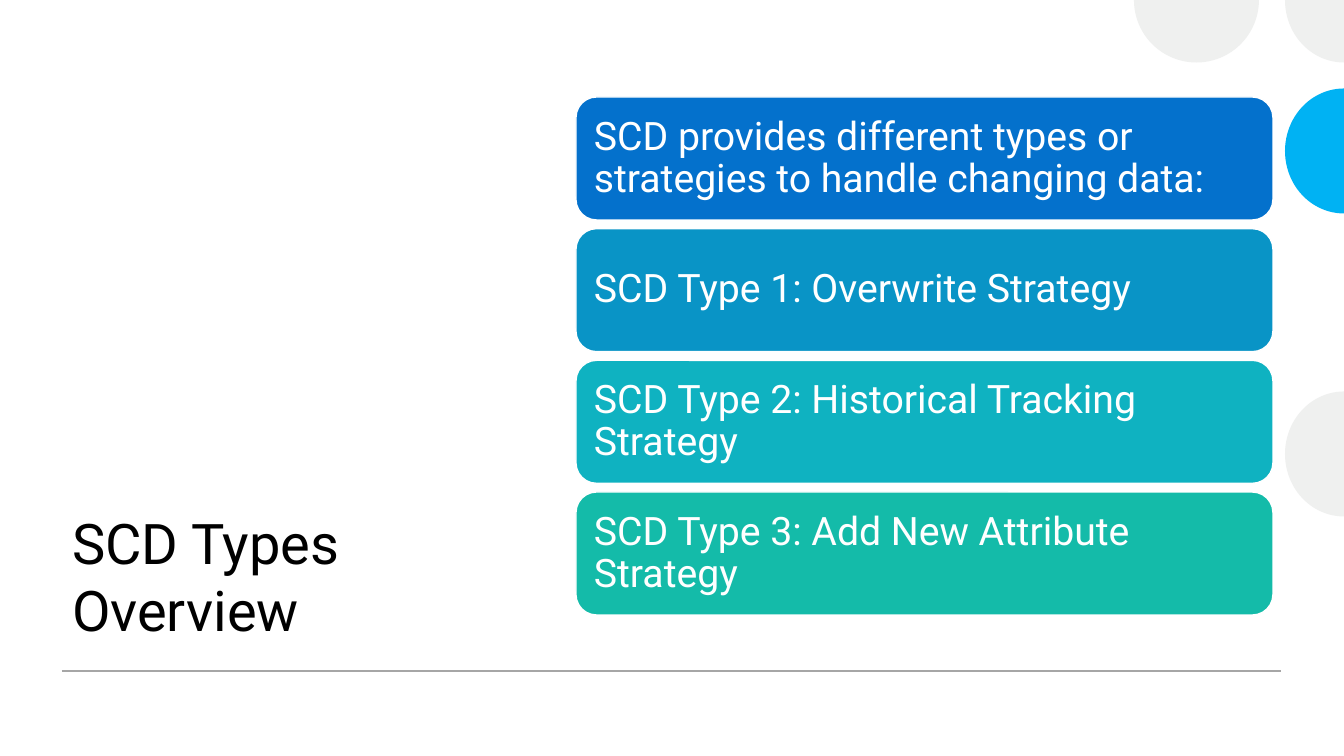
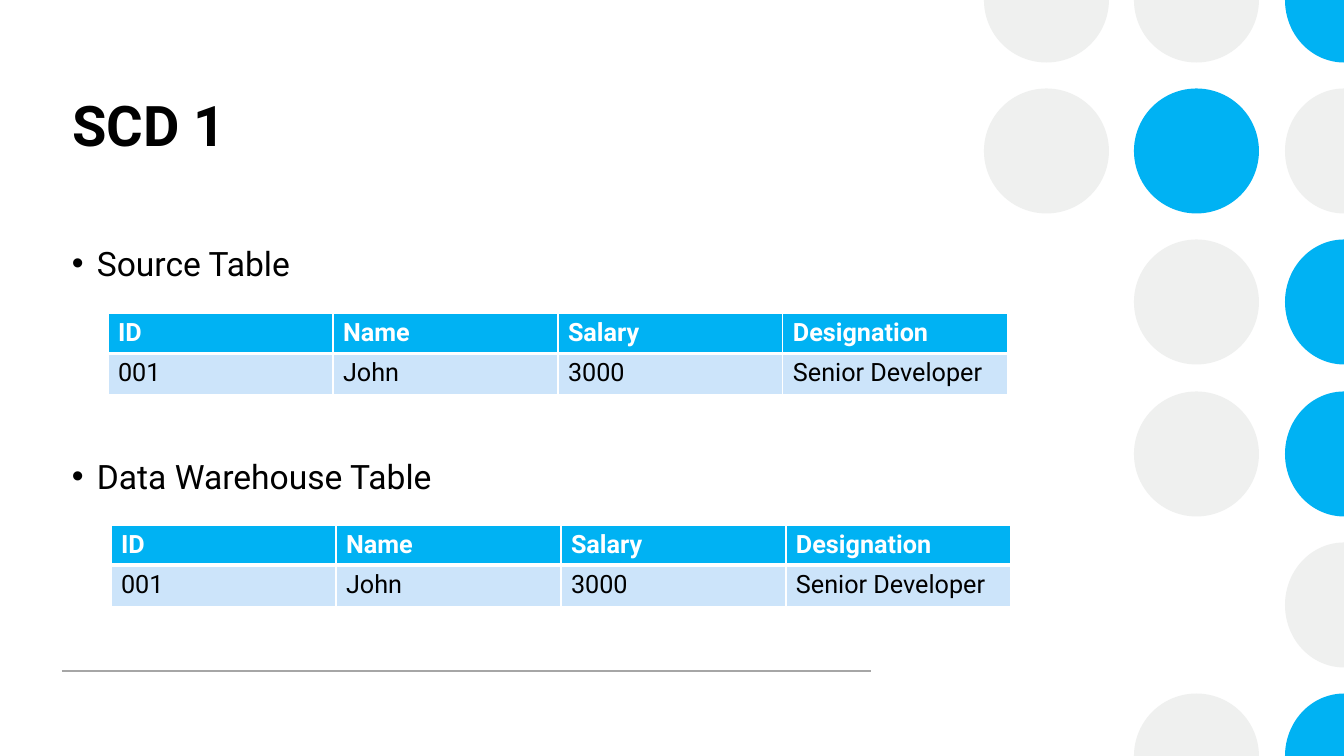
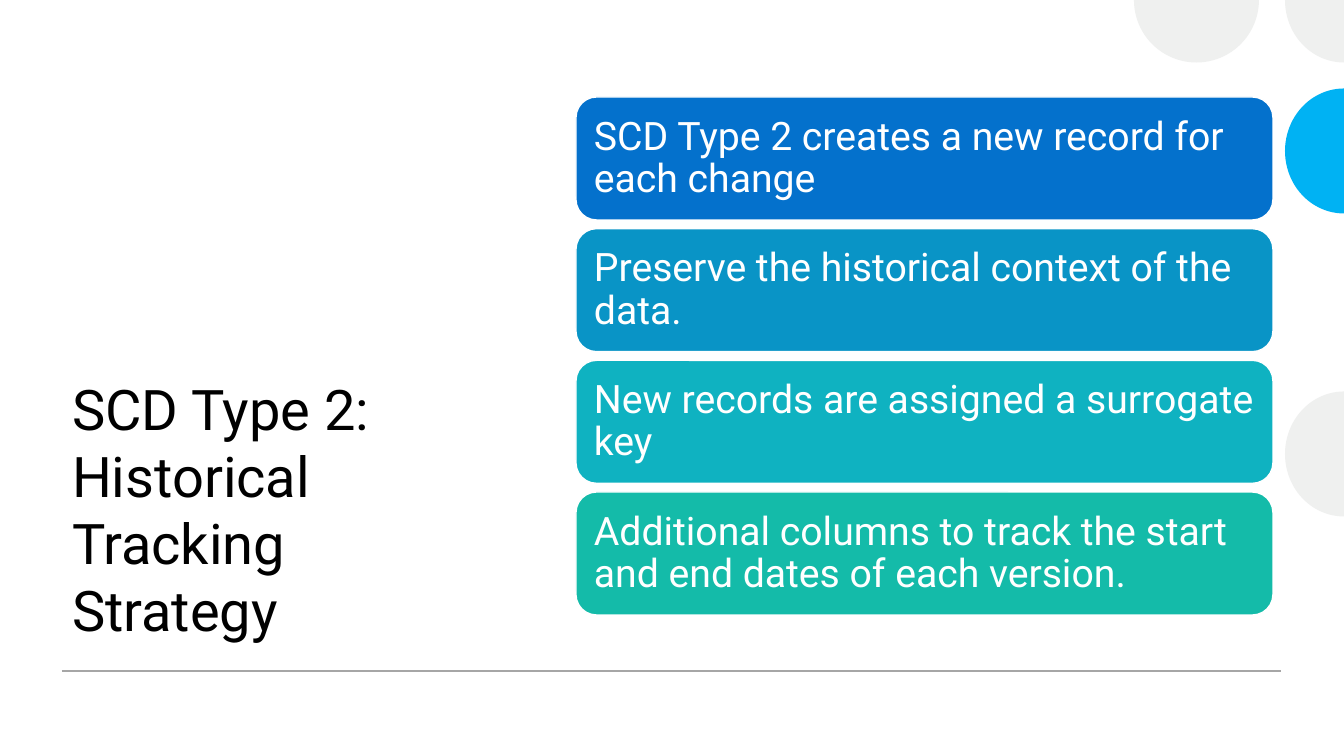
from math import cos, radians, sin

from pptx import Presentation
from pptx.dml.color import RGBColor
from pptx.enum.shapes import MSO_CONNECTOR as CONN, MSO_SHAPE as SHAPE
from pptx.enum.text import MSO_ANCHOR as ANCHOR, MSO_AUTO_SIZE as AUTO, PP_ALIGN as ALIGN
from pptx.oxml.ns import qn
from pptx.util import Pt
from lxml.etree import SubElement

W, H = 1344, 756
EMU_PER_PX = 12192000 / W
FONT = "Roboto"
BLACK, WHITE, GRAY, BLUE = "000000", "FFFFFF", "EFF0EF", "00B2F3"
RULE, PALE = "A6A6A6", "CCE4FA"
STRATEGY_FILLS = ("0471CC", "0994C6", "0FB2C1", "14BBA9")
DOT, DOT_COLUMNS, DOT_GAPS = 125, (984, 1134, 1285), 5
LIST_DOTS = ((1, 0, GRAY), (2, 0, GRAY), (2, 1, BLUE), (2, 3, GRAY))
TABLE_DOTS = (
    (0, 0, GRAY), (0, 1, GRAY),
    (1, 0, GRAY), (1, 1, BLUE), (1, 2, GRAY), (1, 3, GRAY), (1, 5, GRAY),
    (2, 0, BLUE), (2, 1, GRAY), (2, 2, BLUE), (2, 3, BLUE), (2, 4, GRAY), (2, 5, BLUE),
)
EMPLOYEE = (("ID", "Name", "Salary", "Designation"),
            ("001", "John", "3000", "Senior Developer"))


def px(n):
    """Turn px into EMU."""
    return round(n * EMU_PER_PX)


def rgb(color):
    """Turn a hex string into a colour."""
    return RGBColor.from_string(color)


def write(p, text, size=18, color=BLACK, bold=False, before=0, spacing=None):
    """Write one left-aligned, formatted run into a paragraph."""
    p.alignment = ALIGN.LEFT
    p.space_before = Pt(before)
    p.line_spacing = spacing
    r = p.add_run()
    r.text = text
    r.font.name, r.font.size, r.font.bold = FONT, Pt(size), bold
    r.font.color.rgb = rgb(color)


def bullet(p, indent):
    """Give a paragraph a round bullet and a hanging indent."""
    pPr = p._p.get_or_add_pPr()
    pPr.set("marL", str(px(indent)))
    pPr.set("indent", str(-px(indent)))
    SubElement(pPr, qn("a:buFont"), typeface="Arial")
    SubElement(pPr, qn("a:buChar"), char="•")


def paint(sp, color):
    """Fill a shape without line or shadow."""
    sp.shadow.inherit = False
    sp.fill.solid()
    sp.fill.fore_color.rgb = rgb(color)
    sp.line.fill.background()


def add_cut_dot(s, left, cy, at_right, at_end):
    """Draw the quarters of a dot that lie on the slide, as arcs."""
    ry = DOT / 2
    rx = min(ry, W - left)
    first, last = (90, 270) if at_right else (0, 360)
    if at_end:
        first, last = (first, 180) if cy == 0 else (180, last)
    angles = range(first, last + 1, 90)
    points = [(px(left + rx + rx * cos(radians(a))), px(cy + ry * sin(radians(a))))
              for a in angles]
    corner = [(px(W), px(cy))] if at_right and at_end else []
    outline = s.shapes.build_freeform(*points[0])
    outline.add_line_segments(points[1:] + corner, close=True)
    sp = outline.convert_to_shape()
    lines = list(sp._element.iter(qn("a:lnTo")))
    for line, a in zip(lines, angles[:-1]):
        arc = SubElement(line.getparent(), qn("a:arcTo"), wR=str(px(rx)), hR=str(px(ry)),
                         stAng=str(a * 60000), swAng=str(90 * 60000))
        line.getparent().replace(line, arc)
    return sp


def add_dot(s, col, row, color):
    """Draw a dot of the grid, cut off at the slide's edges."""
    left, cy = DOT_COLUMNS[col], round(row * H / DOT_GAPS)
    at_right, at_end = left + DOT > W, row in (0, DOT_GAPS)
    if at_right or at_end:
        sp = add_cut_dot(s, left, cy, at_right, at_end)
    else:
        sp = s.shapes.add_shape(SHAPE.OVAL, px(left), px(cy - DOT / 2), px(DOT), px(DOT))
    paint(sp, color)


def add_rule(s, left, right, y):
    """Draw the thin rule at the foot of the slide."""
    line = s.shapes.add_connector(CONN.STRAIGHT, px(left), px(y), px(right), px(y))
    line.line.color.rgb = rgb(RULE)
    line.line.width = Pt(1)
    SubElement(line._element.spPr, qn("a:effectLst"))


def add_base(prs, title, box, anchor, dots, rule_end, bold=False):
    """Add a slide with title, dot pattern and rule."""
    s = prs.slides.add_slide(prs.slide_layouts[5])
    for dot in dots:
        add_dot(s, *dot)
    add_rule(s, 62, rule_end, 671)
    sp = s.shapes.title
    sp.left, sp.top, sp.width, sp.height = map(px, box)
    tf = sp.text_frame
    tf.auto_size, tf.word_wrap, tf.vertical_anchor = AUTO.NONE, True, anchor
    write(tf.paragraphs[0], title, size=40, bold=bold)
    return s


def add_cards(s, box, texts, height=123, inset=12):
    """Stack equal rounded cards over the height of a box."""
    left, top, width, total = box
    step = (total - height) / (len(texts) - 1)
    for i, (text, color) in enumerate(zip(texts, STRATEGY_FILLS)):
        sp = s.shapes.add_shape(SHAPE.ROUNDED_RECTANGLE, px(left), px(top + i * step),
                                px(width), px(height))
        paint(sp, color)
        sp.line.color.rgb = rgb(WHITE)
        sp.line.width = Pt(1)
        tf = sp.text_frame
        tf.word_wrap, tf.vertical_anchor = True, ANCHOR.MIDDLE
        tf.margin_left = tf.margin_right = tf.margin_top = tf.margin_bottom = px(inset)
        write(tf.paragraphs[0], text, size=28, color=WHITE, spacing=0.9)


def border(cell, **widths):
    """Set white cell borders, in points by side."""
    tcPr = cell._tc.get_or_add_tcPr()
    for side, width in widths.items():
        ln = SubElement(tcPr, qn(f"a:ln{side}"), w=str(Pt(width)))
        fill = SubElement(ln, qn("a:solidFill"))
        SubElement(fill, qn("a:srgbClr"), val=WHITE)


def add_records(s, box, rows, heights=(38, 41)):
    """Add a table with a blue heading row and pale rows."""
    left, top, width = box
    table = s.shapes.add_table(len(rows), len(rows[0]), px(left), px(top),
                               px(width), px(sum(heights))).table
    for i, (row, height) in enumerate(zip(rows, heights)):
        table.rows[i].height = px(height)
        head = i == 0
        for j, text in enumerate(row):
            cell = table.cell(i, j)
            border(cell, L=1, R=1, T=1 if head else 3, B=3 if head else 1)
            cell.fill.solid()
            cell.fill.fore_color.rgb = rgb(BLUE if head else PALE)
            write(cell.text_frame.paragraphs[0], text,
                  color=WHITE if head else BLACK, bold=head)


def add_captions(s, box, texts, gap):
    """Add bulleted captions with a gap in points between them."""
    tf = s.shapes.add_textbox(*map(px, box)).text_frame
    tf.word_wrap = True
    for i, text in enumerate(texts):
        p = tf.add_paragraph() if i else tf.paragraphs[0]
        bullet(p, 25)
        write(p, text, size=24, before=gap if i else 0)


def list_slide(prs, title, texts):
    """Build a slide with a title at left and cards at right."""
    s = add_base(prs, title, (62, 274, 398, 374), ANCHOR.BOTTOM, LIST_DOTS, 1281)
    add_cards(s, (576, 97, 697, 518), texts)


def table_slide(prs, title, captions, rows):
    """Build a slide with two captioned tables."""
    s = add_base(prs, title, (62, 85, 808, 140), ANCHOR.TOP, TABLE_DOTS, 871, bold=True)
    add_captions(s, (62, 238, 808, 397), captions, 123)
    for left, top in ((108, 313), (111, 525)):
        add_records(s, (left, top, 900), rows)


def main():
    """Build and save the presentation."""
    prs = Presentation()
    prs.slide_width, prs.slide_height = px(W), px(H)
    list_slide(prs, "SCD Types Overview", (
        "SCD provides different types or strategies to handle changing data:",
        "SCD Type 1: Overwrite Strategy",
        "SCD Type 2: Historical Tracking Strategy",
        "SCD Type 3: Add New Attribute Strategy",
    ))
    table_slide(prs, "SCD 1", ("Source Table", "Data Warehouse Table"), EMPLOYEE)
    list_slide(prs, "SCD Type 2: Historical Tracking Strategy", (
        "SCD Type 2 creates a new record for each change",
        "Preserve the historical context of the data.",
        "New records are assigned a surrogate key",
        "Additional columns to track the start and end dates of each version.",
    ))
    prs.save("out.pptx")


if __name__ == "__main__":
    main()
